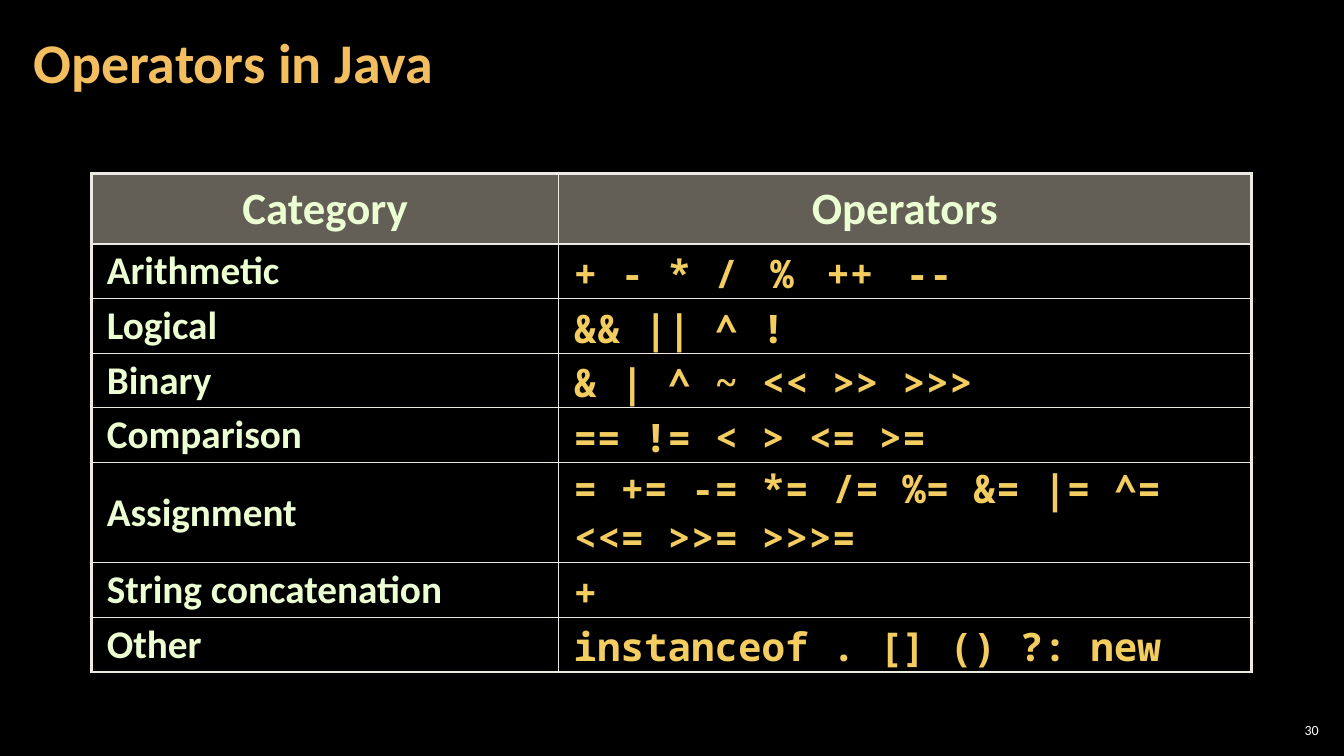
from dataclasses import dataclass

from lxml.etree import SubElement
from pptx import Presentation
from pptx.dml.color import RGBColor
from pptx.enum.text import MSO_ANCHOR as Anchor, MSO_AUTO_SIZE as AutoSize, PP_ALIGN as Align
from pptx.oxml import parse_xml
from pptx.oxml.ns import nsdecls, qn
from pptx.util import Inches, Pt


@dataclass(frozen=True)
class Theme:
    background: str = "000000"
    title: str = "F3BE60"
    label: str = "EBFFD2"
    code: str = "F3CD60"
    header_fill: str = "C7BFAC"
    border: str = "ECEAE3"
    number: str = "FFFFFF"
    text_font: str = "Calibri"
    code_font: str = "Noto Sans Mono"
    title_size: float = 40
    header_size: float = 32
    body_size: float = 28
    number_size: float = 10
    outer_line: float = 2.25
    inner_line: float = 1


HEADER = ("Category", "Operators")
OPERATORS = [
    ("Arithmetic", "+ - * /  %  ++  --"),
    ("Logical", "&& || ^ !"),
    ("Binary", "& | ^ ~ << >> >>>"),
    ("Comparison", "== != < > <= >="),
    ("Assignment", "= += -= *= /= %= &= |= ^= <<= >>= >>>="),
    ("String concatenation", "+"),
    ("Other", "instanceof . [] () ?: new"),
]
COLUMN_WIDTHS = (4.63, 6.87)
HEADER_HEIGHT, ROW_HEIGHT, TWO_LINE_HEIGHT = 0.7, 0.54, 0.98


class SlideBuilder:
    def __init__(self, deck, theme):
        self.theme = theme
        self.page = deck.slides.add_slide(deck.slide_layouts[5])
        fill = self.page.background.fill
        fill.solid()
        fill.fore_color.rgb = RGBColor.from_string(theme.background)

    def style(self, para, size, color, font=None, bold=True, align=Align.LEFT, spacing=1.0):
        para.alignment = align
        para.line_spacing = spacing
        for span in para.runs:
            span.font.name = font or self.theme.text_font
            span.font.size = Pt(size)
            span.font.bold = bold
            span.font.color.rgb = RGBColor.from_string(color)

    def frame(self, box, text, side_inset):
        """Fill a box with middle-anchored text and return its paragraph."""
        frame = box.text_frame
        frame.text = text
        frame.word_wrap = True
        frame.auto_size = AutoSize.NONE
        frame.vertical_anchor = Anchor.MIDDLE
        frame.margin_left = frame.margin_right = Inches(side_inset)
        frame.margin_top = frame.margin_bottom = Inches(0.04)
        return frame.paragraphs[0]

    def title(self, text, left, top, width, height):
        box = self.page.shapes.title
        box.left, box.top = Inches(left), Inches(top)
        box.width, box.height = Inches(width), Inches(height)
        para = self.frame(box, text, 0.12)
        self.style(para, self.theme.title_size, self.theme.title, spacing=0.9)

    def page_number(self, text, left, top, width, height):
        box = self.page.shapes.add_textbox(
            Inches(left), Inches(top), Inches(width), Inches(height))
        para = self.frame(box, text, 0.04)
        self.style(para, self.theme.number_size, self.theme.number,
                   bold=False, align=Align.RIGHT)

    def borders(self, cell, heavy_sides):
        properties = cell._tc.get_or_add_tcPr()
        for index, side in enumerate("LRTB"):
            points = self.theme.outer_line if side in heavy_sides else self.theme.inner_line
            properties.insert(index, parse_xml(
                f'<a:ln{side} {nsdecls("a")} w="{Pt(points)}"><a:solidFill>'
                f'<a:srgbClr val="{self.theme.border}"/></a:solidFill></a:ln{side}>'))

    def header_fill(self, cell):
        """Give a cell the half-transparent header colour."""
        cell.fill.solid()
        cell.fill.fore_color.rgb = RGBColor.from_string(self.theme.header_fill)
        color = cell._tc.tcPr.find(qn("a:solidFill"))[0]
        SubElement(color, qn("a:alpha"), val="50000")

    def prepare_cell(self, cell, top_inset, bottom_inset):
        cell.vertical_anchor = Anchor.MIDDLE
        cell.margin_left = cell.margin_right = Inches(0.15)
        cell.margin_top, cell.margin_bottom = Inches(top_inset), Inches(bottom_inset)
        cell.fill.background()
        return cell.text_frame.paragraphs[0]

    def header_cell(self, cell, text):
        para = self.prepare_cell(cell, 0.05, 0.05)
        para.text = text
        self.style(para, self.theme.header_size, self.theme.label,
                   align=Align.CENTER, spacing=0.95)
        self.header_fill(cell)

    def label_cell(self, cell, text):
        para = self.prepare_cell(cell, 0.04, 0.04)
        para.text = text
        self.style(para, self.theme.body_size, self.theme.label, spacing=0.95)

    def code_cell(self, cell, text, two_lines):
        """Write operators, with one narrow space in each double space."""
        para = self.prepare_cell(cell, 0.02 if two_lines else 0.04, 0)
        first, *others = text.split("  ")
        para.text = first
        gaps = []
        for piece in others:
            gap, span = para.add_run(), para.add_run()
            gap.text, span.text = " ", f" {piece}"
            gaps.append(gap)
        self.style(para, self.theme.body_size, self.theme.code,
                   font=self.theme.code_font, spacing=0.92 if two_lines else 0.95)
        for gap in gaps:
            gap.font.name = self.theme.text_font

    def operator_table(self, rows, left, top, widths, heights):
        table = self.page.shapes.add_table(
            len(rows), len(widths), Inches(left), Inches(top),
            Inches(sum(widths)), Inches(sum(heights))).table
        table.first_row = table.horz_banding = False
        for column, width in zip(table.columns, widths):
            column.width = Inches(width)
        last_row = len(rows) - 1
        for r, (texts, height) in enumerate(zip(rows, heights)):
            table.rows[r].height = Inches(height)
            for c, text in enumerate(texts):
                cell = table.cell(r, c)
                if r == 0:
                    self.header_cell(cell, text)
                elif c == 0:
                    self.label_cell(cell, text)
                else:
                    self.code_cell(cell, text, height == TWO_LINE_HEIGHT)
                heavy = "L" if c == 0 else "R"
                heavy += "T" if r <= 1 else ""
                heavy += "B" if r in (0, last_row) else ""
                self.borders(cell, heavy)


def main():
    deck = Presentation()
    deck.slide_width, deck.slide_height = Inches(13.33), Inches(7.5)
    builder = SlideBuilder(deck, Theme())
    builder.page_number("30", 12.65, 7.14, 0.47, 0.21)
    heights = [HEADER_HEIGHT] + [
        TWO_LINE_HEIGHT if category == "Assignment" else ROW_HEIGHT
        for category, _ in OPERATORS]
    builder.operator_table([HEADER, *OPERATORS], 0.91, 1.72, COLUMN_WIDTHS, heights)
    builder.title("Operators in Java", 0.21, 0.04, 10.47, 1.21)
    deck.save("out.pptx")


if __name__ == "__main__":
    main()
